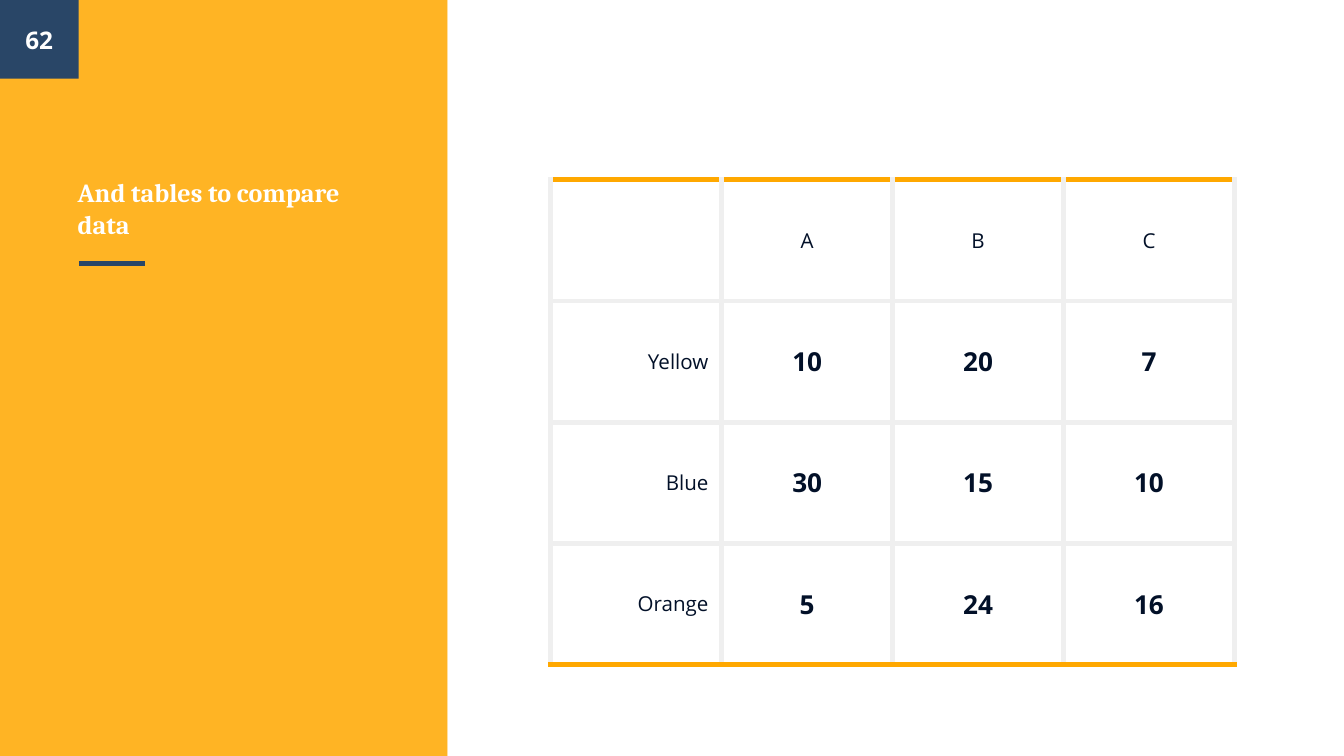
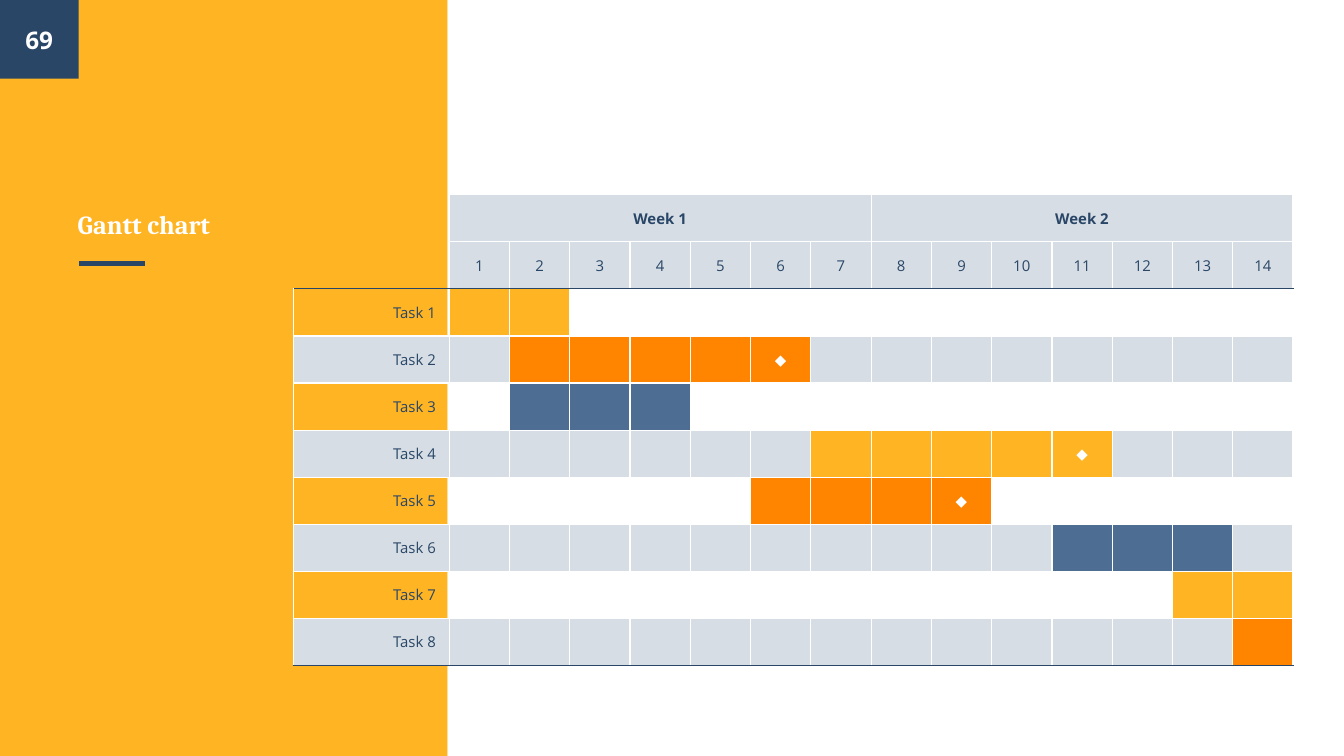
from dataclasses import dataclass

from lxml import etree
from pptx import Presentation
from pptx.dml.color import RGBColor
from pptx.enum.shapes import MSO_CONNECTOR, MSO_SHAPE
from pptx.enum.text import MSO_ANCHOR, PP_ALIGN
from pptx.oxml.ns import qn
from pptx.util import Cm, Pt

RECTANGLE = MSO_SHAPE.RECTANGLE
STRAIGHT = MSO_CONNECTOR.STRAIGHT
LEFT, CENTER, RIGHT = PP_ALIGN.LEFT, PP_ALIGN.CENTER, PP_ALIGN.RIGHT
MIDDLE, BOTTOM = MSO_ANCHOR.MIDDLE, MSO_ANCHOR.BOTTOM

COMPARISON = {
    "number": "62",
    "title": "And tables to compare data",
    "columns": ["A", "B", "C"],
    "rows": [
        ("Yellow", [10, 20, 7]),
        ("Blue", [30, 15, 10]),
        ("Orange", [5, 24, 16]),
    ],
}

GANTT = {
    "number": "69",
    "title": "Gantt chart",
    "weeks": ["Week 1", "Week 2"],
    "days_per_week": 7,
    # task, first day, last day, ends with a milestone
    "tasks": [
        ("Task 1", 1, 2, False),
        ("Task 2", 2, 6, True),
        ("Task 3", 2, 4, False),
        ("Task 4", 7, 11, True),
        ("Task 5", 6, 9, True),
        ("Task 6", 11, 13, False),
        ("Task 7", 13, 14, False),
        ("Task 8", 14, 14, False),
    ],
    "milestone": "◆",
}


@dataclass(frozen=True)
class Theme:
    heading_font: str = "Cambria"
    body_font: str = "Open Sans"
    title_size: float = 14
    number_size: float = 13
    value_size: float = 14
    label_size: float = 11
    gantt_size: float = 8
    accent: str = "FFA800"
    panel_opacity: int = 86
    navy: str = "294667"
    ink: str = "021028"
    white: str = "FFFFFF"
    grid: str = "EFEFEF"
    band: str = "D6DDE4"
    bars: tuple = ("FFB424", "FF8400", "4E6D92")
    grid_width: float = 3
    gantt_width: float = 0.75


THEME = Theme()
SLIDE_WIDTH, SLIDE_HEIGHT = 25.4, 14.29
PANEL_WIDTH = 8.46
BADGE_SIZE = 1.49


def style_paragraph(paragraph, size, color, bold=False, align=LEFT,
                    font=THEME.body_font):
    paragraph.alignment = align
    for run in paragraph.runs:
        run.font.name = font
        run.font.size = Pt(size)
        run.font.bold = bold
        run.font.color.rgb = RGBColor.from_string(color)


def add_block(slide, left, top, width, height, color, opacity=100):
    block = slide.shapes.add_shape(
        RECTANGLE, Cm(left), Cm(top), Cm(width), Cm(height))
    block.shadow.inherit = False
    block.fill.solid()
    block.fill.fore_color.rgb = RGBColor.from_string(color)
    block.line.fill.background()
    if opacity < 100:
        color_element = block.fill._xPr.find(".//" + qn("a:srgbClr"))
        etree.SubElement(color_element, qn("a:alpha"), val=str(opacity * 1000))


def add_text(slide, text, left, top, width, height, anchor, **style):
    frame = slide.shapes.add_textbox(
        Cm(left), Cm(top), Cm(width), Cm(height)).text_frame
    frame.word_wrap = True
    frame.vertical_anchor = anchor
    frame.margin_left = frame.margin_right = Cm(0.25)
    frame.margin_top = frame.margin_bottom = Cm(0.25)
    frame.text = text
    style_paragraph(frame.paragraphs[0], color=THEME.white, bold=True, **style)


def add_framed_slide(deck, content):
    """Add a slide with the side panel, number badge, title and title rule."""
    slide = deck.slides.add_slide(deck.slide_layouts[6])
    add_block(slide, 0, 0, PANEL_WIDTH, SLIDE_HEIGHT, THEME.accent,
              THEME.panel_opacity)
    add_block(slide, PANEL_WIDTH, 0, SLIDE_WIDTH - PANEL_WIDTH, SLIDE_HEIGHT,
              THEME.white)
    rule = slide.shapes.add_connector(
        STRAIGHT, Cm(1.49), Cm(4.98), Cm(2.74), Cm(4.98))
    rule.line.color.rgb = RGBColor.from_string(THEME.navy)
    rule.line.width = Pt(2.25)
    etree.SubElement(rule._element.spPr, qn("a:effectLst"))
    add_block(slide, 0, 0, BADGE_SIZE, BADGE_SIZE, THEME.navy)
    add_text(slide, content["title"], 1.22, 2.9, 5.97, 1.88, BOTTOM,
             size=THEME.title_size, font=THEME.heading_font)
    add_text(slide, content["number"], -0.02, 0, 1.52, BADGE_SIZE, MIDDLE,
             size=THEME.number_size, align=CENTER)
    return slide


def add_grid(slide, left, top, column_widths, row_height, row_count):
    table = slide.shapes.add_table(
        row_count, len(column_widths), Cm(left), Cm(top),
        Cm(sum(column_widths)), Cm(row_height * row_count)).table
    table.first_row = table.horz_banding = False
    for column, width in zip(table.columns, column_widths):
        column.width = Cm(width)
    for row in table.rows:
        row.height = Cm(row_height)
    return table


def set_borders(cell, width, **colors):
    """Draw the sides L, R, T and B; a side whose colour is None is hidden."""
    properties = cell._tc.get_or_add_tcPr()
    for side in "LRTB":
        line = etree.SubElement(properties, qn("a:ln" + side), w=str(Pt(width)))
        if colors[side]:
            fill = etree.SubElement(line, qn("a:solidFill"))
            etree.SubElement(fill, qn("a:srgbClr"), val=colors[side])
        else:
            etree.SubElement(line, qn("a:noFill"))


def fill_cell(cell, text, size, color, bold, align, margin, background=None):
    cell.vertical_anchor = MIDDLE
    cell.margin_left = cell.margin_right = Cm(0.25)
    cell.margin_top = cell.margin_bottom = Cm(margin)
    if background:
        cell.fill.solid()
        cell.fill.fore_color.rgb = RGBColor.from_string(background)
    else:
        cell.fill.background()
    cell.text_frame.text = text
    paragraph = cell.text_frame.paragraphs[0]
    style_paragraph(paragraph, size, color, bold, align)
    if not text:  # keeps an empty row from growing to the default text size
        etree.SubElement(paragraph._p, qn("a:endParaRPr"),
                         sz=str(int(size * 100)))


def add_comparison_table(slide, content):
    lines = [["", *content["columns"]]]
    lines += [[name, *map(str, values)] for name, values in content["rows"]]
    table = add_grid(slide, 10.41, 3.4, [3.23] * len(lines[0]), 2.29, len(lines))
    last = len(lines) - 1
    for r, line in enumerate(lines):
        for c, text in enumerate(line):
            cell = table.cell(r, c)
            is_value = r > 0 and c > 0
            set_borders(cell, THEME.grid_width, L=THEME.grid, R=THEME.grid,
                        T=THEME.accent if r == 0 else THEME.grid,
                        B=THEME.accent if r == last else THEME.grid)
            fill_cell(cell, text,
                      THEME.value_size if is_value else THEME.label_size,
                      THEME.ink, is_value, RIGHT if c == 0 else CENTER, 0.18)


def gantt_cell(content, r, day):
    """Return text, text colour and background; day 0 is the label column."""
    if r < 2:
        if day == 0:
            return "", THEME.navy, None
        week, offset = divmod(day - 1, content["days_per_week"])
        heading = content["weeks"][week] if offset == 0 else ""
        return heading if r == 0 else str(day), THEME.navy, THEME.band
    index = r - 2
    name, first, final, milestone = content["tasks"][index]
    band = THEME.band if index % 2 else None
    if day == 0:
        return name, THEME.navy, band
    if first <= day <= final:
        mark = content["milestone"] if milestone and day == final else ""
        return mark, THEME.white, THEME.bars[index % len(THEME.bars)]
    return "", THEME.navy, band


def add_gantt_table(slide, content):
    week_length = content["days_per_week"]
    day_count = week_length * len(content["weeks"])
    row_count = 2 + len(content["tasks"])
    table = add_grid(slide, 5.54, 3.68, [2.95] + [1.14] * day_count, 0.89,
                     row_count)
    for r in range(row_count):
        for day in range(day_count + 1):
            cell = table.cell(r, day)
            plain = None if r < 2 and day == 0 else THEME.white
            set_borders(cell, THEME.gantt_width, L=plain, R=THEME.white,
                        T=THEME.navy if r == 2 else plain,
                        B=THEME.navy if r in (1, row_count - 1) else plain)
            text, color, background = gantt_cell(content, r, day)
            fill_cell(cell, text, THEME.gantt_size, color, r == 0,
                      RIGHT if day == 0 else CENTER, 0.13, background)
    for first in range(1, day_count + 1, week_length):
        table.cell(0, first).merge(table.cell(0, first + week_length - 1))


def main():
    deck = Presentation()
    deck.slide_width, deck.slide_height = Cm(SLIDE_WIDTH), Cm(SLIDE_HEIGHT)
    add_comparison_table(add_framed_slide(deck, COMPARISON), COMPARISON)
    add_gantt_table(add_framed_slide(deck, GANTT), GANTT)
    deck.save("out.pptx")


if __name__ == "__main__":
    main()
